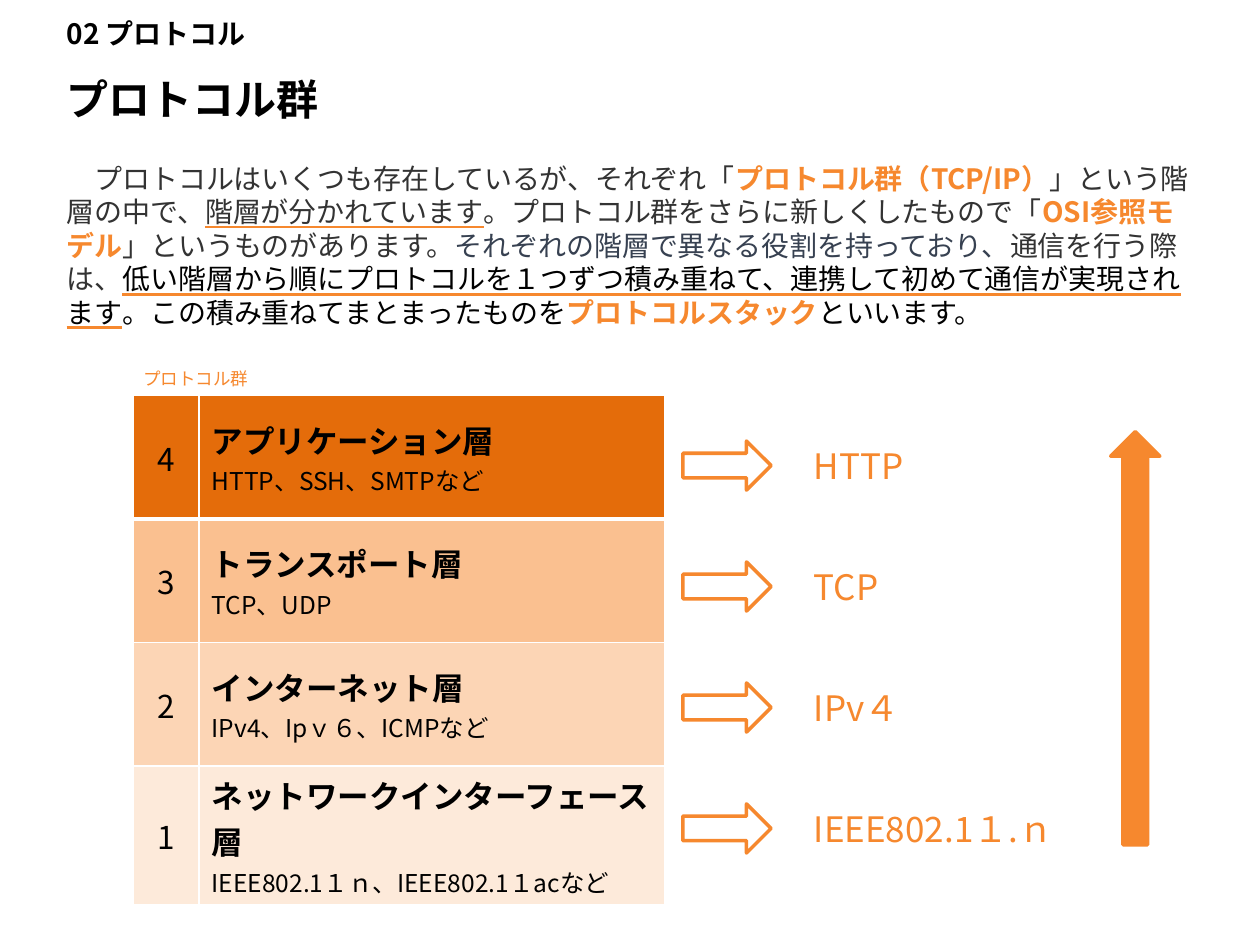
from lxml import etree
from pptx import Presentation
from pptx.dml.color import RGBColor
from pptx.enum.shapes import MSO_SHAPE
from pptx.enum.text import MSO_ANCHOR, MSO_TEXT_UNDERLINE_TYPE, PP_ALIGN
from pptx.oxml.ns import qn
from pptx.util import Inches, Pt

ARROW = MSO_SHAPE.RIGHT_ARROW
MIDDLE, TOP = MSO_ANCHOR.MIDDLE, MSO_ANCHOR.TOP
CENTER, LEFT = PP_ALIGN.CENTER, PP_ALIGN.LEFT
THIN = MSO_TEXT_UNDERLINE_TYPE.SINGLE_LINE
HEAVY = MSO_TEXT_UNDERLINE_TYPE.HEAVY_LINE

FONT = "Noto Sans CJK JP"
BLACK = RGBColor(0x00, 0x00, 0x00)
WHITE = RGBColor(0xFF, 0xFF, 0xFF)
GRAY = RGBColor(0x33, 0x33, 0x33)
SLATE = RGBColor(0x37, 0x41, 0x51)
ORANGE = RGBColor(0xF6, 0x88, 0x2E)

BODY = [
    ("\u3000プロトコルはいくつも存在しているが、それぞれ「", GRAY, False, None),
    ("プロトコル群（TCP/IP）", ORANGE, True, None),
    ("」という階層の中で、", GRAY, False, None),
    ("階層が分かれています", GRAY, False, THIN),
    ("。プロトコル群をさらに新しくしたもので「", GRAY, False, None),
    ("OSI参照モデル", ORANGE, True, None),
    ("」というものがあります。", GRAY, False, None),
    ("それぞれの階層で異なる役割を持っており、", SLATE, False, None),
    ("通信を行う際は、", GRAY, False, None),
    ("低い階層から順にプロトコルを１つずつ積み重ねて、連携して初めて通信が実現されます",
     BLACK, False, HEAVY),
    ("。この積み重ねてまとまったものを", BLACK, False, None),
    ("プロトコルスタック", ORANGE, True, None),
    ("といいます。", BLACK, False, None),
]
HEADINGS = [
    ("02 プロトコル", (0.43, 0, 2.91, 0.53), 16, BLACK, True),
    ("プロトコル群", (0.43, 0.46, 8.38, 0.64), 24, BLACK, True),
    ("プロトコル群", (1.04, 2.74, 2.69, 0.53), 10, ORANGE, False),
]
LAYERS = [
    ("4", "アプリケーション層", "HTTP、SSH、SMTPなど", "HTTP", RGBColor(0xE4, 0x6C, 0x0A)),
    ("3", "トランスポート層", "TCP、UDP", "TCP", RGBColor(0xFA, 0xC0, 0x90)),
    ("2", "インターネット層", "IPv4、Ipｖ６、ICMPなど", "IPv４", RGBColor(0xFC, 0xD5, 0xB5)),
    ("1", "ネットワークインターフェース層", "IEEE802.1１ｎ、IEEE802.1１acなど",
     "IEEE802.1１.ｎ", RGBColor(0xFD, 0xEA, 0xDA)),
]
COLUMNS = (0.52, 3.7)
ROWS = (0.98, 0.98, 0.98, 1.1)
EXAMPLE_PITCH = 0.96


def add_fill(parent, color):
    fill = etree.SubElement(parent, qn("a:solidFill"))
    etree.SubElement(fill, qn("a:srgbClr"), val=str(color))


def add_run(p, text, size, color, bold=False, underline=None):
    r = p.add_run()
    r.text = text
    r.font.size = Pt(size)
    r.font.bold = bold
    r.font.color.rgb = color
    if underline:
        r.font.underline = underline
        add_fill(etree.SubElement(r.font._element, qn("a:uFill")), ORANGE)
    r.font.name = FONT
    etree.SubElement(r.font._element, qn("a:ea"), typeface=FONT)


def add_text(s, box, anchor=MIDDLE):
    tf = s.shapes.add_textbox(*map(Inches, box)).text_frame
    tf.word_wrap = True
    tf.vertical_anchor = anchor
    return tf.paragraphs[0]


def add_arrow(s, box, fill, rotation=0):
    sp = s.shapes.add_shape(ARROW, *map(Inches, box))
    sp.shadow.inherit = False
    sp.rotation = rotation
    sp.fill.solid()
    sp.fill.fore_color.rgb = fill
    sp.line.color.rgb = ORANGE
    sp.line.width = Pt(2)


def style_cell(cell, fill, widths):
    cell.vertical_anchor = MIDDLE
    tcPr = cell._tc.get_or_add_tcPr()
    for side, width in zip("LRTB", widths):
        ln = etree.SubElement(tcPr, qn(f"a:ln{side}"), w=str(Pt(width)))
        add_fill(ln, WHITE)
    cell.fill.solid()
    cell.fill.fore_color.rgb = fill


def add_layer_table(s):
    table = s.shapes.add_table(
        len(ROWS), len(COLUMNS), Inches(1.06), Inches(3.14),
        Inches(sum(COLUMNS)), Inches(sum(ROWS))).table
    for column, width in zip(table.columns, COLUMNS):
        column.width = Inches(width)
    for i, (number, name, protocols, _, fill) in enumerate(LAYERS):
        table.rows[i].height = Inches(ROWS[i])
        number_cell, name_cell = table.cell(i, 0), table.cell(i, 1)
        widths = (1, 1, 3 if i == 1 else 1, 3 if i == 0 else 1)
        for cell, align in ((number_cell, CENTER), (name_cell, LEFT)):
            style_cell(cell, fill, widths)
            cell.text_frame.paragraphs[0].alignment = align
        add_run(number_cell.text_frame.paragraphs[0], number, 18, BLACK)
        tf = name_cell.text_frame
        add_run(tf.paragraphs[0], name, 18, BLACK, True)
        add_run(tf.add_paragraph(), protocols, 14, BLACK)


def main():
    prs = Presentation()
    prs.slide_width, prs.slide_height = Inches(10), Inches(7.5)
    s = prs.slides.add_slide(prs.slide_layouts[6])

    p = add_text(s, (0.43, 1.23, 9.19, 1.45), TOP)
    for text, color, bold, underline in BODY:
        add_run(p, text, 16, color, bold, underline)
    for text, box, size, color, bold in HEADINGS:
        add_run(add_text(s, box), text, size, color, bold)

    add_layer_table(s)
    for i, (_, _, _, example, _) in enumerate(LAYERS):
        top = 3.5 + EXAMPLE_PITCH * i
        add_arrow(s, (5.42, top, 0.7, 0.39), WHITE)
        add_run(add_text(s, (6.36, top + 0.03, 2.65, 0.33)), example, 20, ORANGE)
    add_arrow(s, (7.37, 4.87, 3.28, 0.39), ORANGE, 270)

    prs.save("out.pptx")


if __name__ == "__main__":
    main()
